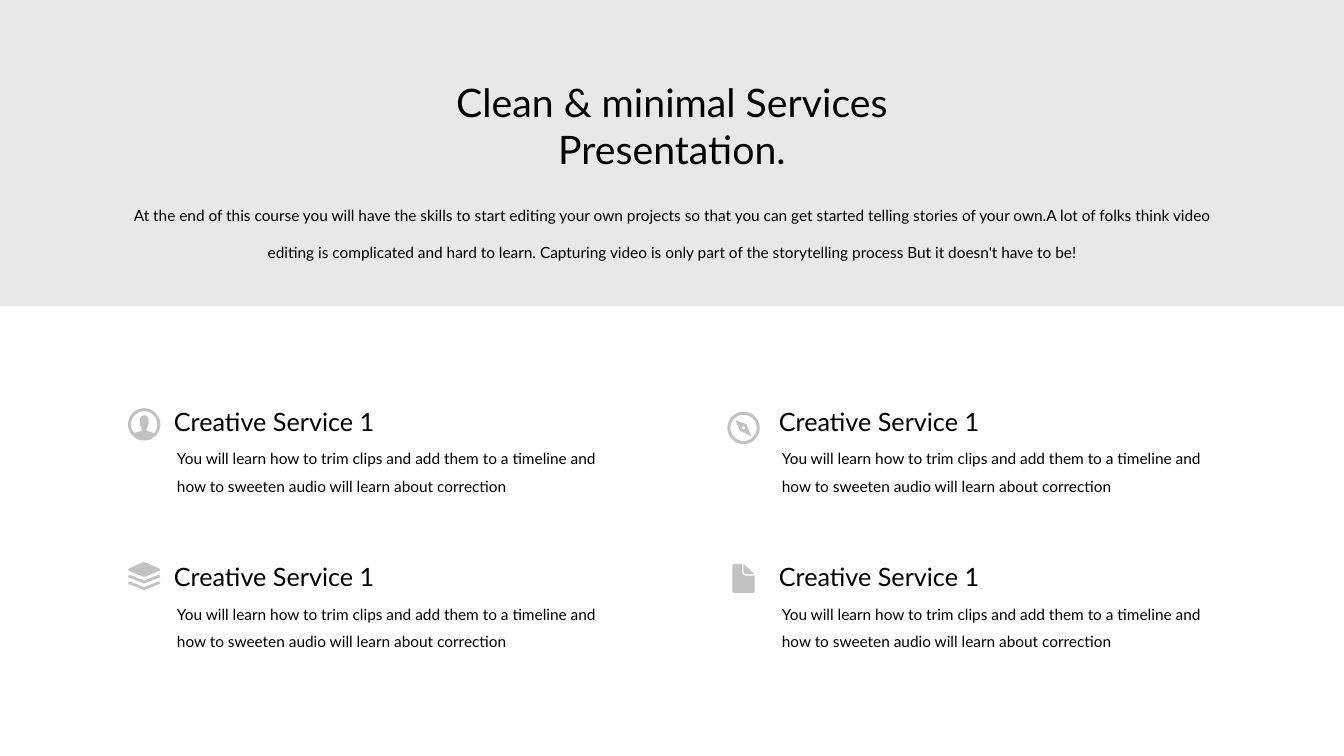
from dataclasses import dataclass
from math import cos, radians, sin

from pptx import Presentation
from pptx.dml.color import RGBColor
from pptx.enum.shapes import MSO_SHAPE
from pptx.enum.text import MSO_ANCHOR, MSO_AUTO_SIZE, PP_ALIGN
from pptx.util import Inches, Pt


@dataclass(frozen=True)
class Theme:
    font: str = "Lato"
    ink: RGBColor = RGBColor(0x00, 0x00, 0x00)
    band: RGBColor = RGBColor(0xE8, 0xE8, 0xE8)
    icon: RGBColor = RGBColor(0xC2, 0xC2, 0xC2)
    title: Pt = Pt(56)
    heading: Pt = Pt(36)
    body: Pt = Pt(22)


theme = Theme()
presentation = Presentation()
presentation.slide_width = Inches(26.66)
presentation.slide_height = Inches(15)
slide = presentation.slides.add_slide(presentation.slide_layouts[6])


def add_text(text, left, top, width, height, size, align=PP_ALIGN.LEFT, spacing=1.0, wrap=True):
    box = slide.shapes.add_textbox(Inches(left), Inches(top), Inches(width), Inches(height))
    frame = box.text_frame
    frame.text = text
    frame.word_wrap = wrap
    frame.auto_size = MSO_AUTO_SIZE.SHAPE_TO_FIT_TEXT
    frame.vertical_anchor = MSO_ANCHOR.MIDDLE
    frame.margin_left = frame.margin_right = Inches(0.06)
    frame.margin_top = frame.margin_bottom = Inches(0.06)
    for paragraph in frame.paragraphs:
        paragraph.alignment = align
        paragraph.line_spacing = spacing
        for run in paragraph.runs:
            run.font.name = theme.font
            run.font.size = size
            run.font.color.rgb = theme.ink


def add_icon(center_x, center_y, contours):
    placed = [[(Inches(center_x + x), Inches(center_y + y)) for x, y in contour] for contour in contours]
    outline = slide.shapes.build_freeform(*placed[0][0])
    outline.add_line_segments(placed[0][1:])
    for contour in placed[1:]:
        outline.move_to(*contour[0])
        outline.add_line_segments(contour[1:])
    icon = outline.convert_to_shape()
    icon.shadow.inherit = False
    icon.fill.solid()
    icon.fill.fore_color.rgb = theme.icon
    icon.line.fill.background()


band = slide.shapes.add_shape(MSO_SHAPE.RECTANGLE, 0, Inches(-0.01), Inches(26.67), Inches(6.08))
band.shadow.inherit = False
band.fill.solid()
band.fill.fore_color.rgb = theme.band
band.line.fill.background()

add_text("Clean & minimal Services\nPresentation.", 8.69, 1.5, 9.28, 1.98, theme.title, PP_ALIGN.CENTER, wrap=False)
add_text(
    "At the end of this course you will have the skills to start editing your own projects "
    "so that you can get started telling stories of your own.A lot of folks think video editing "
    "is complicated and hard to learn. Capturing video is only part of the storytelling process "
    "But it doesn't have to be!",
    2.51, 3.66, 21.64, 1.58, theme.body, PP_ALIGN.CENTER, 2.0,
)

for left in (3.39, 15.39):
    for top in (8.0, 11.08):
        add_text("Creative Service 1", left, top, 4.26, 0.71, theme.heading, wrap=False)
        add_text(
            "You will learn how to trim clips and add them to a timeline and "
            "how to sweeten audio will learn about correction",
            left + 0.06, top + 0.68, 8.69, 1.21, theme.body, spacing=1.5,
        )

circle = [(cos(radians(a)), sin(radians(a))) for a in range(0, 360, 6)]
disc, inner_disc, pivot = [[(r * x, r * y) for x, y in circle] for r in (0.32, 0.26, 0.03)]

halo = [(0.26 * cos(radians(a)), 0.26 * sin(radians(a))) for a in range(42, -223, -6)]
right_profile = [
    (0, -0.18), (0.04, -0.17), (0.07, -0.14), (0.09, -0.1), (0.08, -0.05), (0.09, -0.03),
    (0.08, 0.02), (0.05, 0.08), (0.05, 0.12), (0.11, 0.15), (0.19, 0.17),
]
left_profile = [(-x, y) for x, y in reversed(right_profile)]
add_icon(2.86, 8.42, [disc, halo + left_profile + right_profile])

needle = [(-0.07, 0.06), (-0.16, -0.15), (0.06, -0.07), (0.15, 0.16)]
add_icon(14.75, 8.49, [disc, inner_disc, needle, pivot])

chevron = [
    (-0.32, 0.03), (-0.3, 0), (-0.27, 0), (0, 0.11), (0.27, 0),
    (0.3, 0), (0.32, 0.03), (0.3, 0.05), (0, 0.17), (-0.3, 0.05),
]
top_sheet = [(-0.32, -0.13), (-0.3, -0.15), (0, -0.28), (0.3, -0.15), (0.32, -0.13), (0.3, -0.1), (0, 0.02), (-0.3, -0.1)]
lower_sheets = [[(x, y + drop) for x, y in chevron] for drop in (-0.02, 0.11)]
add_icon(2.86, 11.43, [top_sheet, *lower_sheets])

page = [
    (-0.19, -0.29), (-0.03, -0.29), (-0.03, -0.12), (-0.01, -0.08), (0.03, -0.06), (0.22, -0.06),
    (0.22, 0.26), (0.19, 0.29), (-0.19, 0.29), (-0.22, 0.26), (-0.22, -0.26),
]
folded_corner = [(0, -0.29), (0.22, -0.09), (0.03, -0.09), (0, -0.12)]
add_icon(14.75, 11.48, [page, folded_corner])

presentation.save("out.pptx")
